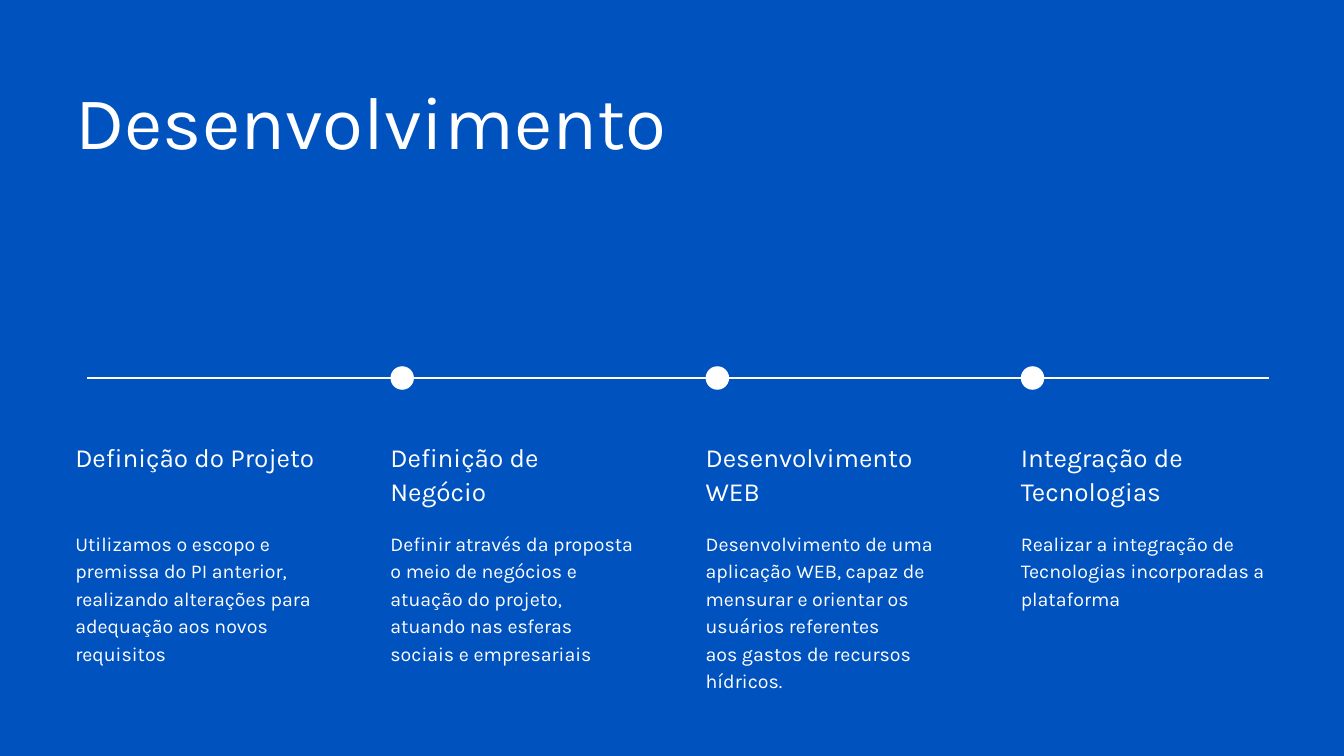
from lxml.etree import SubElement
from pptx import Presentation
from pptx.dml.color import RGBColor
from pptx.enum.shapes import MSO_CONNECTOR, MSO_SHAPE
from pptx.enum.text import MSO_ANCHOR, MSO_AUTO_SIZE, PP_ALIGN
from pptx.oxml.ns import qn
from pptx.util import Inches, Pt

WIDE, HIGH = Inches(20), Inches(11.25)
BLUE, WHITE = "0052BF", "FFFFFF"
EDGE = Inches(1.12)
STEP, COL = Inches(4.69), Inches(3.68)
DOT = Inches(0.35)

FRAME = dict(margin_left=0, margin_right=0, margin_top=0, margin_bottom=0,
             word_wrap=True, auto_size=MSO_AUTO_SIZE.NONE,
             vertical_anchor=MSO_ANCHOR.TOP)
TITLE = dict(size=80, lead=96)
HEAD = dict(size=28, lead=36.4)
BODY = dict(size=21, lead=29.4)

STEPS = [
    ("Definição do Projeto",
     ["Utilizamos o escopo e premissa do PI anterior, realizando "
      "alterações para adequação aos novos requisitos"]),
    ("Definição de Negócio",
     ["Definir através da proposta o meio de negócios e atuação do "
      "projeto, atuando nas esferas sociais e empresariais"]),
    ("Desenvolvimento WEB",
     ["Desenvolvimento de uma aplicação WEB, capaz de mensurar e "
      "orientar os usuários referentes",
      "aos gastos de recursos hídricos."]),
    ("Integração de Tecnologias",
     ["Realizar a integração de Tecnologias incorporadas a plataforma"]),
]


def tint(code):
    return RGBColor.from_string(code)


def apply(item, style):
    for name, value in style.items():
        setattr(item, name, value)


def write(shape, lines, size, lead):
    frame = shape.text_frame
    frame.text = "\n".join(lines)
    apply(frame, FRAME)
    for para in frame.paragraphs:
        apply(para, dict(alignment=PP_ALIGN.LEFT, line_spacing=Pt(lead)))
        apply(para.font, dict(size=Pt(size), name="Karla"))
        para.font.color.rgb = tint(WHITE)


def add_title(slide, box, text):
    title = slide.shapes.title
    apply(title, dict(zip(("left", "top", "width", "height"), box)))
    write(title, [text], **TITLE)


def add_track(slide, box, count):
    left, top, width, height = box
    mid = top + height // 2
    line = slide.shapes.add_connector(
        MSO_CONNECTOR.STRAIGHT, left + height // 2, mid, left + width, mid)
    line.line.width = Pt(1.5)
    line.line.color.rgb = tint(WHITE)
    SubElement(line._element.spPr, qn("a:effectLst"))
    for spot in range(1, count):
        dot = slide.shapes.add_shape(
            MSO_SHAPE.OVAL, left + spot * STEP, top, height, height)
        dot.shadow.inherit = False
        dot.fill.solid()
        dot.fill.fore_color.rgb = tint(WHITE)
        dot.line.fill.background()


def add_step(slide, box, head, body):
    left, top, width, height = box
    split = round(height * 0.32)
    label = slide.shapes.add_textbox(left, top, width, split)
    write(label, [head], **HEAD)
    note = slide.shapes.add_textbox(left, top + split, width, height - split)
    write(note, body, **BODY)


def main():
    deck = Presentation()
    apply(deck, dict(slide_width=WIDE, slide_height=HIGH))
    slide = deck.slides.add_slide(deck.slide_layouts[5])
    slide.background.fill.solid()
    slide.background.fill.fore_color.rgb = tint(BLUE)
    span = WIDE - 2 * EDGE
    add_title(slide, (EDGE, EDGE, span, Inches(1.33)), "Desenvolvimento")
    add_track(slide, (EDGE, (HIGH - DOT) // 2, span, DOT), len(STEPS))
    for spot, (head, body) in enumerate(STEPS):
        box = EDGE + spot * STEP, round(HIGH * 0.58), COL, round(HIGH * 0.37)
        add_step(slide, box, head, body)
    deck.save("out.pptx")


if __name__ == "__main__":
    main()
